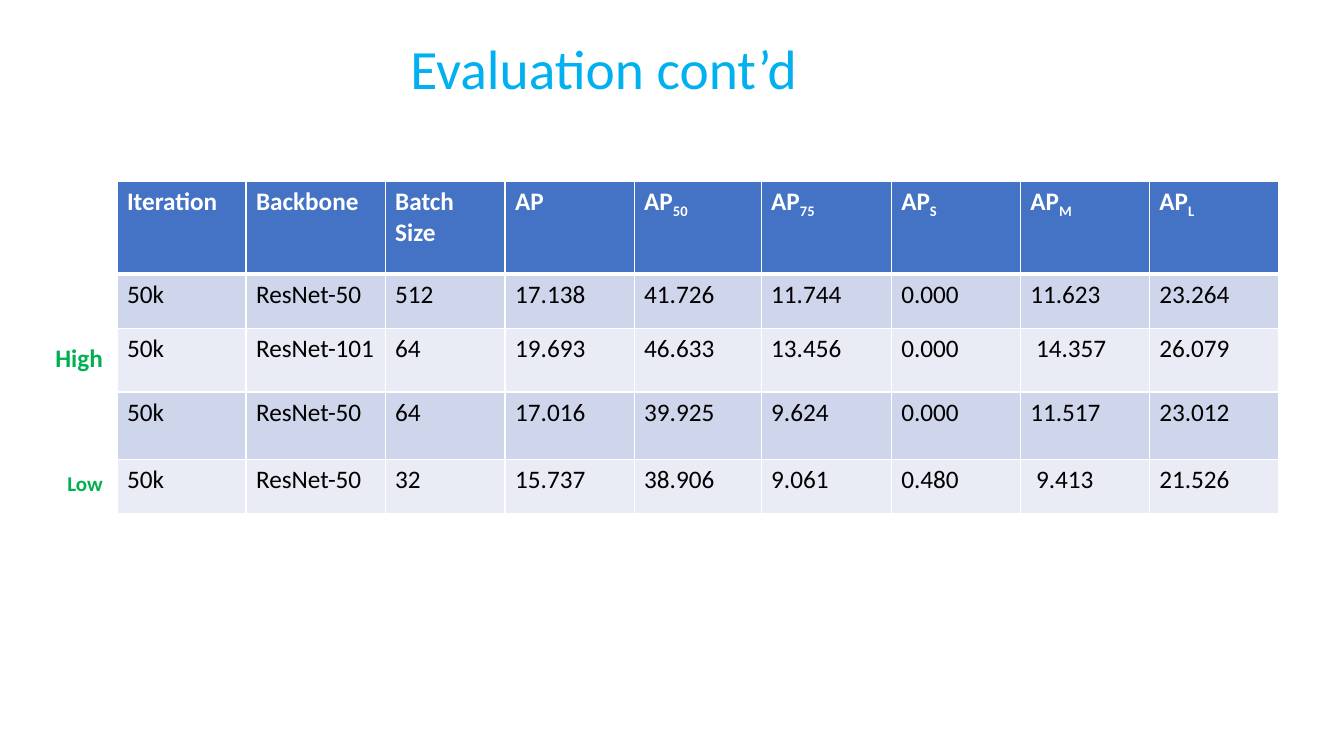
from lxml.etree import SubElement
from pptx import Presentation
from pptx.dml.color import RGBColor
from pptx.enum.text import MSO_ANCHOR, MSO_AUTO_SIZE, PP_ALIGN
from pptx.oxml.ns import qn
from pptx.util import Inches, Pt

COLORS = {"title": "00B0F0", "header": "4472C4", "odd": "CFD5EA", "even": "E9EBF5",
          "grid": "FFFFFF", "value": "000000", "rank": "00B050"}


def style(font, size, color, bold=False):
    formats = {"name": "Calibri", "size": Pt(size), "bold": bold}
    for attribute, value in formats.items():
        setattr(font, attribute, value)
    font.color.rgb = RGBColor.from_string(COLORS[color])


def add_border(cell, side, width):
    line = SubElement(cell._tc.get_or_add_tcPr(), qn(f"a:{side}"), w=str(Pt(width)))
    fill = SubElement(line, qn("a:solidFill"))
    SubElement(fill, qn("a:srgbClr"), val=COLORS["grid"])


presentation = Presentation()
presentation.slide_width, presentation.slide_height = Inches(13.33), Inches(7.5)
slide = presentation.slides.add_slide(presentation.slide_layouts[5])

# Title, indented from the left margin
title = slide.shapes.title
title_place = {"left": 0.92, "top": 0.4, "width": 11.5, "height": 0.62}
for attribute, value in title_place.items():
    setattr(title, attribute, Inches(value))
title.text_frame.text = "Evaluation cont’d"
title.text_frame.vertical_anchor = MSO_ANCHOR.MIDDLE
title.text_frame.auto_size = MSO_AUTO_SIZE.NONE
heading = title.text_frame.paragraphs[0]
heading.alignment = PP_ALIGN.LEFT
heading.line_spacing = 0.9
heading._p.get_or_add_pPr().set("marL", str(Inches(3.05)))
style(heading.runs[0].font, 39.6, "title")

# Evaluation results: headers are (text, subscript)
headers = [("Iteration", ""), ("Backbone", ""), ("Batch Size", ""), ("AP", ""),
           ("AP", "50"), ("AP", "75"), ("AP", "S"), ("AP", "M"), ("AP", "L")]
results = [
    ["50k", "ResNet-50", "512", "17.138", "41.726", "11.744", "0.000", "11.623", "23.264"],
    ["50k", "ResNet-101", "64", "19.693", "46.633", "13.456", "0.000", " 14.357", "26.079"],
    ["50k", "ResNet-50", "64", "17.016", "39.925", "9.624", "0.000", "11.517", "23.012"],
    ["50k", "ResNet-50", "32", "15.737", "38.906", "9.061", "0.480", " 9.413", "21.526"],
]
column_widths = [1.28, 1.38, 1.19, 1.28, 1.26, 1.29, 1.28, 1.28, 1.28]
row_heights = [0.92, 0.54, 0.63, 0.67, 0.54]
table_left, table_top = 1.16, 1.8

table = slide.shapes.add_table(
    len(row_heights), len(column_widths), Inches(table_left), Inches(table_top),
    Inches(sum(column_widths)), Inches(sum(row_heights))).table
for column, width in zip(table.columns, column_widths):
    column.width = Inches(width)
for row, height in zip(table.rows, row_heights):
    row.height = Inches(height)

rows = [headers] + [[(value, "") for value in result] for result in results]
for row_index, row in enumerate(rows):
    is_header = row_index == 0
    band = "header" if is_header else "odd" if row_index % 2 else "even"
    borders = {"lnL": 1, "lnR": 1, "lnT": 3 if row_index == 1 else 1,
               "lnB": 3 if is_header else 1}
    for column_index, (text, subscript) in enumerate(row):
        cell = table.cell(row_index, column_index)
        for side, width in borders.items():
            add_border(cell, side, width)
        cell.fill.solid()
        cell.fill.fore_color.rgb = RGBColor.from_string(COLORS[band])
        for part, baseline in ((text, 0), (subscript, -25000)):
            if part:
                run = cell.text_frame.paragraphs[0].add_run()
                run.text = part
                style(run.font, 18, "grid" if is_header else "value", is_header)
                run.font._element.set("baseline", str(baseline))

# Rank labels, ending at the table's left edge
ranks = [("Low", 15, 4.62, 0.59, 0.35), ("High", 18, 3.35, 0.71, 0.4)]
for text, size, top, width, height in ranks:
    rank = slide.shapes.add_textbox(Inches(table_left - width), Inches(top),
                                    Inches(width), Inches(height)).text_frame
    rank.text = text
    rank.auto_size = MSO_AUTO_SIZE.SHAPE_TO_FIT_TEXT
    style(rank.paragraphs[0].runs[0].font, size, "rank", True)

presentation.save("out.pptx")
